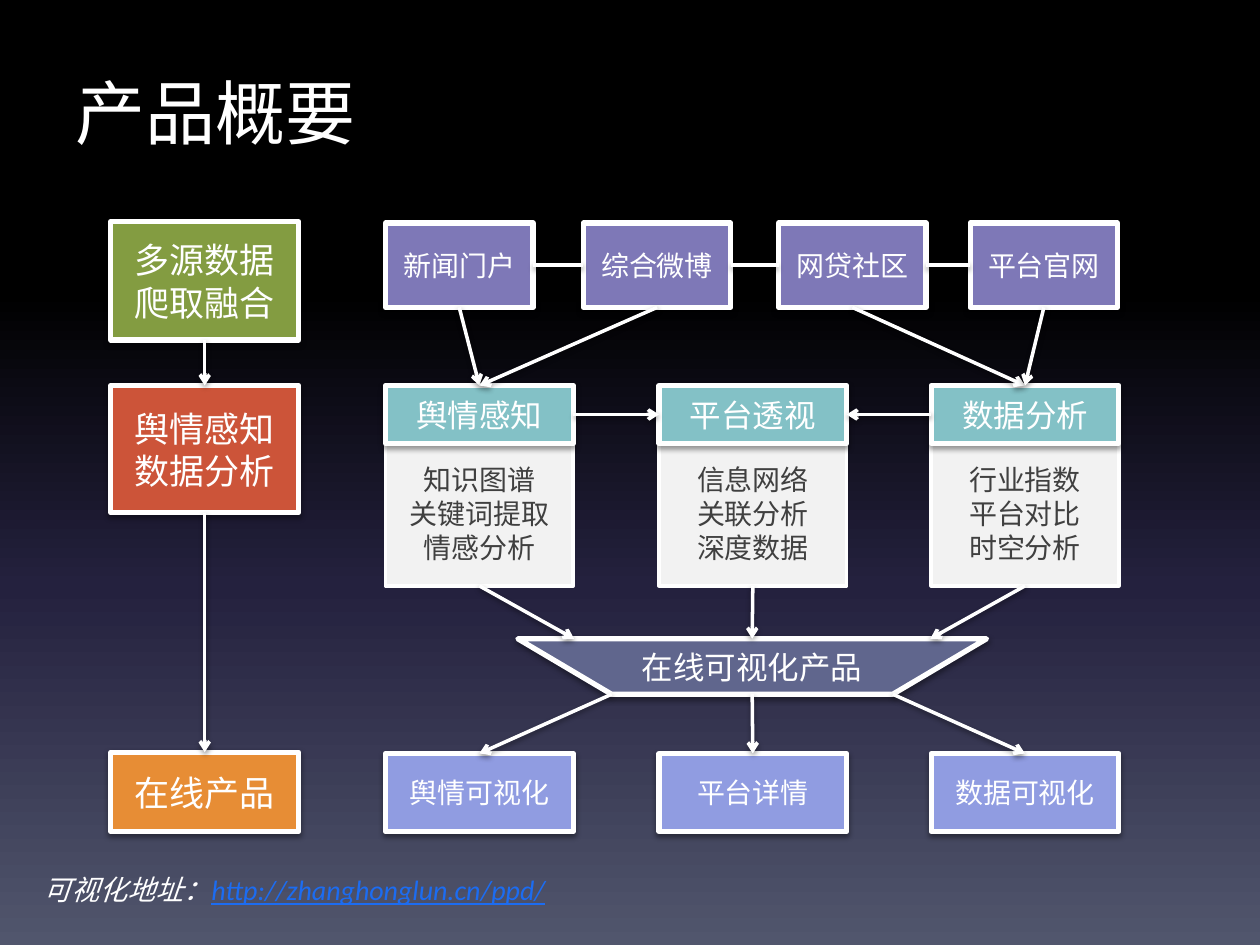
from dataclasses import dataclass

from lxml import etree
from pptx import Presentation
from pptx import util as u
from pptx.dml.color import RGBColor
from pptx.enum import shapes, text
from pptx.oxml import ns

WHITE = "FFFFFF"
NOTO = "Noto Sans CJK SC"
KIND = shapes.MSO_SHAPE
Point = tuple[float, float]


@dataclass
class Box:
    left: float
    top: float
    width: float
    height: float
    words: str
    fill: str
    size: int = 16
    face: str = NOTO
    ink: str = WHITE
    edge: float = 3
    shade: bool = True
    kind: KIND = KIND.RECTANGLE

    def spot(self, across: float, down: float) -> Point:
        """Point at the given fractions of the width and height."""
        return self.left + across * self.width, self.top + down * self.height

    @property
    def head(self) -> Point:
        return self.spot(0.5, 0)

    @property
    def foot(self) -> Point:
        return self.spot(0.5, 1)

    @property
    def west(self) -> Point:
        return self.spot(0, 0.5)

    @property
    def east(self) -> Point:
        return self.spot(1, 0.5)


def tint(code: str) -> RGBColor:
    return RGBColor.from_string(code)


def add(parent, tag: str, **attrs):
    return etree.SubElement(parent, ns.qn(tag), attrs)


def style(run, face: str, ink: str, **form) -> None:
    """Set Latin and East Asian typeface, colour and other font values."""
    run.font.color.rgb = tint(ink)
    for key, value in {"name": face, **form}.items():
        setattr(run.font, key, value)
    add(run.font._element, "a:ea", typeface=face)


def cast(shape) -> None:
    """Give a soft shadow straight below."""
    effects = add(shape._element.spPr, "a:effectLst")
    shadow = add(effects, "a:outerShdw", blurRad=str(u.Pt(3.1)),
                 dist=str(u.Pt(1.6)), dir="5400000", rotWithShape="0")
    add(add(shadow, "a:srgbClr", val="000000"), "a:alpha", val="38000")


def draw(slide, box: Box) -> None:
    place = map(u.Inches, (box.left, box.top, box.width, box.height))
    shape = slide.shapes.add_shape(box.kind, *place)
    shape.fill.solid()
    shape.fill.fore_color.rgb = tint(box.fill)
    shape.line.color.rgb = tint(WHITE)
    shape.line.width = u.Pt(box.edge)
    if box.shade:
        cast(shape)
    else:
        shape.shadow.inherit = False
    frame = shape.text_frame
    frame.vertical_anchor = text.MSO_ANCHOR.MIDDLE
    frame.text = box.words
    for para in frame.paragraphs:
        para.alignment = text.PP_ALIGN.CENTER
        para.line_spacing = u.Pt(1.21 * box.size)
        style(para.runs[0], box.face, box.ink, size=u.Pt(box.size))


def link(slide, start: Point, end: Point, arrow: bool = True) -> None:
    ends = map(u.Inches, (*start, *end))
    line = slide.shapes.add_connector(shapes.MSO_CONNECTOR.STRAIGHT, *ends)
    line.line.color.rgb = tint(WHITE)
    line.line.width = u.Pt(2)
    if arrow:
        add(line.line._get_or_add_ln(), "a:tailEnd", type="arrow")
    cast(line)


def paint(slide) -> None:
    """Fill the background from black down to slate."""
    fill = slide.background.fill
    fill.gradient()
    fill.gradient_angle = 270
    stops = slide._element.find(".//" + ns.qn("a:gsLst"))
    for stop in list(stops):
        stops.remove(stop)
    for pos, code in ((0, "000000"), (31, "000000"), (62, "24213E"), (100, "51566D")):
        add(add(stops, "a:gs", pos=str(pos * 1000)), "a:srgbClr", val=code)


def main() -> None:
    deck = Presentation()
    deck.slide_width, deck.slide_height = u.Inches(10), u.Inches(7.5)
    slide = deck.slides.add_slide(deck.slide_layouts[5])
    paint(slide)

    title = slide.shapes.title
    for key, value in dict(left=0.5, top=0.5, width=9, height=1.25).items():
        setattr(title, key, u.Inches(value))
    title.text_frame.text = "产品概要"
    title.text_frame.vertical_anchor = text.MSO_ANCHOR.TOP
    para = title.text_frame.paragraphs[0]
    para.alignment = text.PP_ALIGN.LEFT
    style(para.runs[0], "Noto Sans CJK JP", WHITE, size=u.Pt(40))

    wide = 1.49
    cols = (3.06, 5.23, 7.39)
    steps = [Box(0.88, top, wide, high, words, fill, 20) for top, high, words, fill in (
        (1.76, 0.94, "多源数据爬取融合", "839C41"),
        (3.06, 1.01, "舆情感知数据分析", "CC5439"),
        (5.97, 0.63, "在线产品", "E78D35"))]
    feeds = [Box(left, 1.77, 1.17, 0.67, words, "7E78B7") for left, words in zip(
        (3.06, 4.63, 6.18, 7.7), ("新闻门户", "综合微博", "网贷社区", "平台官网"))]
    panels = [Box(left, 3.5, wide, 1.15, words, "F2F2F2", ink="404040", edge=2, shade=False)
              for left, words in zip(cols, (
                  "知识图谱\n关键词提取\n情感分析",
                  "信息网络\n关联分析\n深度数据",
                  "行业指数\n平台对比\n时空分析"))]
    heads = [Box(left, 3.06, wide, 0.46, words, "83C1C6", 18, "Calibri")
             for left, words in zip(cols, ("舆情感知", "平台透视", "数据分析"))]
    views = [Box(left, 5.98, wide, 0.62, words, "909CE1")
             for left, words in zip(cols, ("舆情可视化", "平台详情", "数据可视化"))]
    hub = Box(4.11, 5.07, 3.72, 0.44, "在线可视化产品", "60668D", 18, "Calibri",
              kind=KIND.FLOWCHART_MANUAL_OPERATION)

    for box in (*panels, *steps, *heads, *views, *feeds, hub):
        draw(slide, box)

    for one, two in zip(steps, steps[1:]):
        link(slide, one.foot, two.head)
    for one, two in zip(feeds, feeds[1:]):
        link(slide, one.east, two.west, arrow=False)
    for feed, goal in zip(feeds, (heads[0], heads[0], heads[2], heads[2])):
        link(slide, feed.foot, goal.head)
    link(slide, heads[0].east, heads[1].west)
    link(slide, heads[2].west, heads[1].east)
    for panel, view, enter, leave in zip(panels, views, (0.12, 0.5, 0.88), (0.2, 0.5, 0.8)):
        link(slide, panel.foot, hub.spot(enter, 0))
        link(slide, hub.spot(leave, 1), view.head)

    note = slide.shapes.add_textbox(*map(u.Inches, (0.25, 6.88, 4.2, 0.37)))
    note.text_frame.word_wrap = True
    para = note.text_frame.paragraphs[0]
    for words, ink, under in (("可视化地址：", WHITE, False),
                              ("http://zhanghonglun.cn/ppd/", "1C6CF1", True)):
        run = para.add_run()
        run.text = words
        style(run, "Calibri", ink, size=u.Pt(16), italic=True, underline=under)

    deck.save("out.pptx")


if __name__ == "__main__":
    main()
